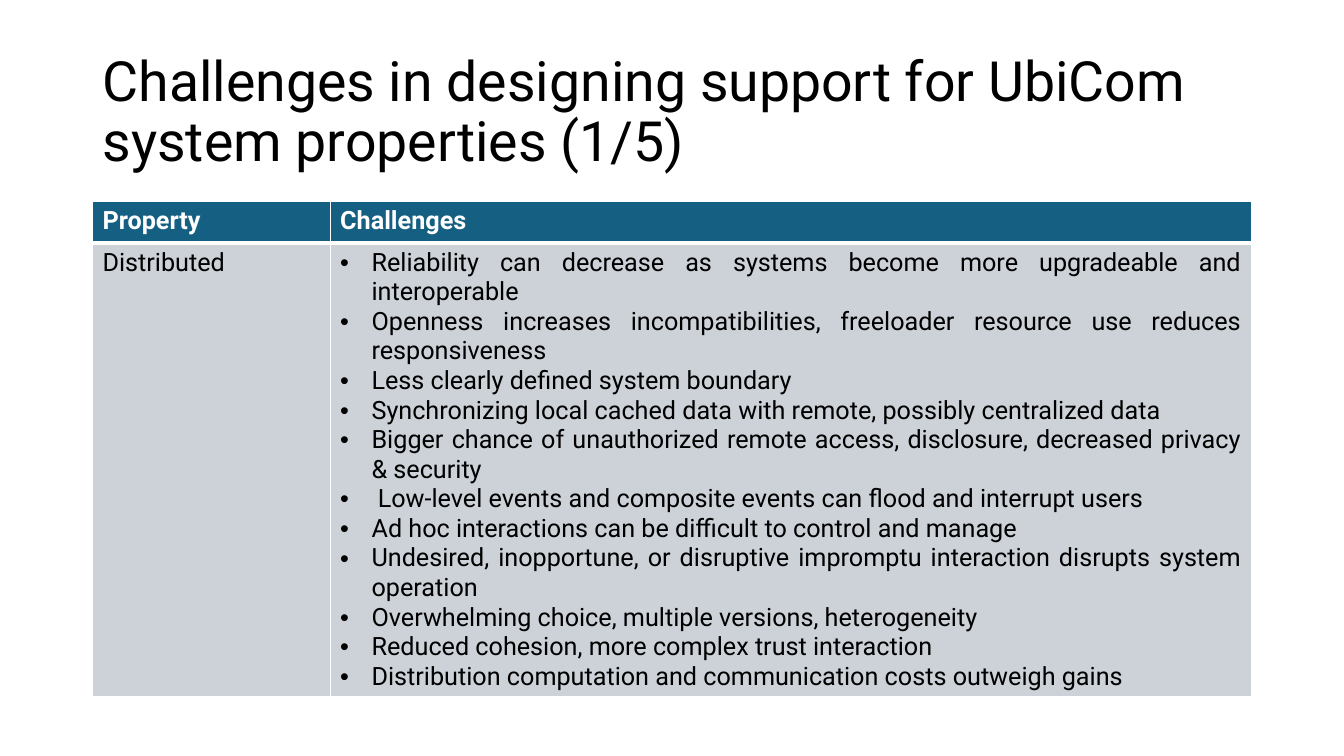
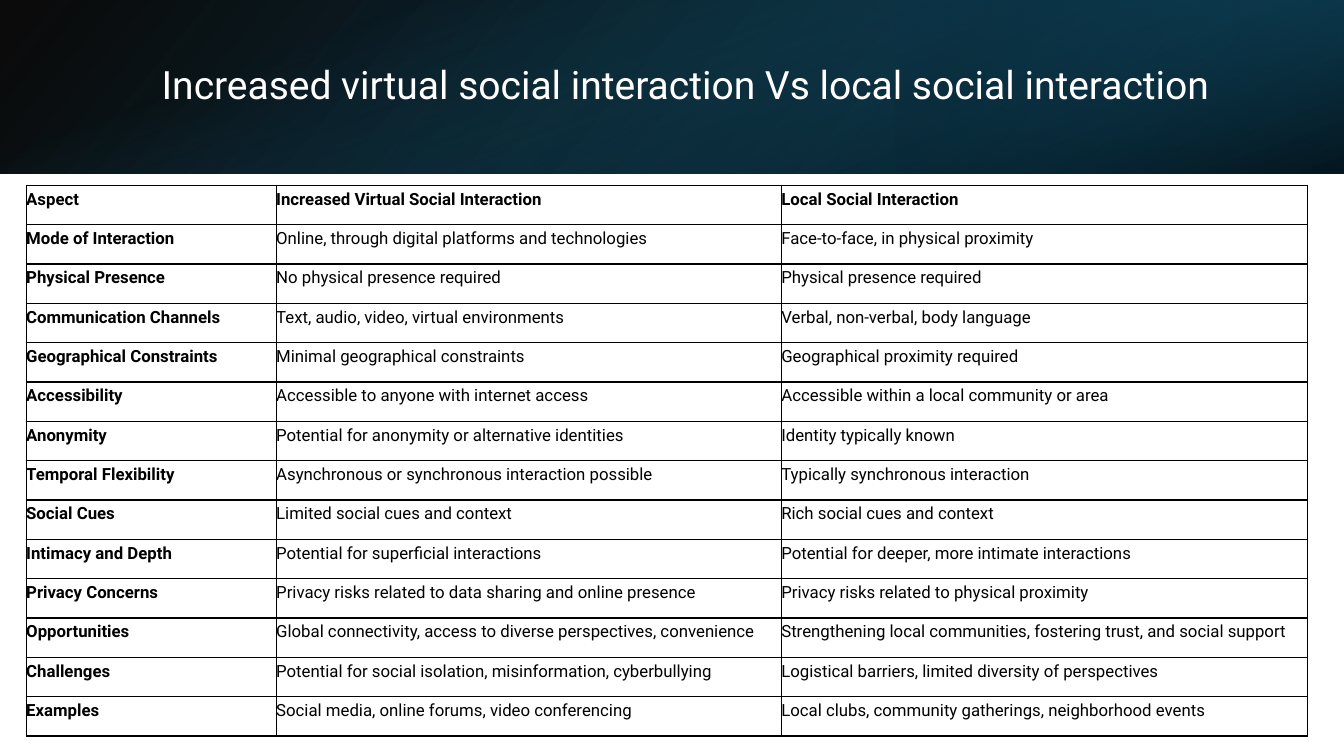
from dataclasses import dataclass

from lxml import etree
from pptx import Presentation
from pptx import util as u
from pptx.dml.color import RGBColor
from pptx.enum import shapes, text
from pptx.oxml.ns import qn


@dataclass(frozen=True)
class Theme:
    font: str = "Roboto"
    black: str = "000000"
    white: str = "FFFFFF"
    teal: str = "156082"
    deep_teal: str = "104862"
    dark_teal: str = "0B3041"
    grey: str = "CCD2D8"
    title_size: float = 39.6
    banner_title_size: float = 27.9
    body_size: float = 18
    small_size: float = 12


@dataclass(frozen=True)
class Box:
    """A region of the slide, in centimetres."""
    left: float
    top: float
    width: float
    height: float

    def lengths(self):
        return [u.Cm(n) for n in (self.left, self.top, self.width, self.height)]

    def inner(self, left, top, width, height):
        return Box(self.left + left, self.top + top, width, height)


THEME = Theme()
PAGE = Box(0, 0, 33.87, 19.05)
TITLE_ONLY = 5

CHALLENGES = [
    "Reliability can decrease as systems become more upgradeable and interoperable",
    "Openness increases incompatibilities, freeloader resource use reduces responsiveness",
    "Less clearly defined system boundary",
    "Synchronizing local cached data with remote, possibly centralized data",
    "Bigger chance of unauthorized remote access, disclosure, decreased privacy & security",
    " Low-level events and composite events can flood and interrupt users",
    "Ad hoc interactions can be difficult to control and manage",
    "Undesired, inopportune, or disruptive impromptu interaction disrupts system operation",
    "Overwhelming choice, multiple versions, heterogeneity",
    "Reduced cohesion, more complex trust interaction",
    "Distribution computation and communication costs outweigh gains",
]

COMPARISON = [
    ("Aspect", "Increased Virtual Social Interaction", "Local Social Interaction"),
    ("Mode of Interaction", "Online, through digital platforms and technologies",
     "Face-to-face, in physical proximity"),
    ("Physical Presence", "No physical presence required", "Physical presence required"),
    ("Communication Channels", "Text, audio, video, virtual environments",
     "Verbal, non-verbal, body language"),
    ("Geographical Constraints", "Minimal geographical constraints",
     "Geographical proximity required"),
    ("Accessibility", "Accessible to anyone with internet access",
     "Accessible within a local community or area"),
    ("Anonymity", "Potential for anonymity or alternative identities",
     "Identity typically known"),
    ("Temporal Flexibility", "Asynchronous or synchronous interaction possible",
     "Typically synchronous interaction"),
    ("Social Cues", "Limited social cues and context", "Rich social cues and context"),
    ("Intimacy and Depth", "Potential for superficial interactions",
     "Potential for deeper, more intimate interactions"),
    ("Privacy Concerns", "Privacy risks related to data sharing and online presence",
     "Privacy risks related to physical proximity"),
    ("Opportunities", "Global connectivity, access to diverse perspectives, convenience",
     "Strengthening local communities, fostering trust, and social support"),
    ("Challenges", "Potential for social isolation, misinformation, cyberbullying",
     "Logistical barriers, limited diversity of perspectives"),
    ("Examples", "Social media, online forums, video conferencing",
     "Local clubs, community gatherings, neighborhood events"),
]


# Text
def style(paragraph, size, color, bold=False):
    font = paragraph.font
    font.name, font.size, font.bold = THEME.font, u.Pt(size), bold
    font.color.rgb = RGBColor.from_string(color)


def add_bullet(paragraph, indent):
    properties = paragraph._p.get_or_add_pPr()
    properties.set("marL", str(u.Cm(indent)))
    properties.set("indent", str(-u.Cm(indent)))
    etree.SubElement(properties, qn("a:buFont"), typeface="Arial")
    etree.SubElement(properties, qn("a:buChar"), char="•")


def set_title(slide, box, wording, size, color):
    title = slide.shapes.title
    title.left, title.top, title.width, title.height = box.lengths()
    frame = title.text_frame
    frame.text = wording
    frame.word_wrap = True
    frame.auto_size = text.MSO_AUTO_SIZE.NONE
    frame.vertical_anchor = text.MSO_ANCHOR.MIDDLE
    paragraph = frame.paragraphs[0]
    paragraph.alignment = text.PP_ALIGN.LEFT
    paragraph.line_spacing = 0.9
    style(paragraph, size, color)


# Tables
def add_grid(slide, box, column_widths, row_heights):
    table = slide.shapes.add_table(
        len(row_heights), len(column_widths), *box.lengths()).table
    table.first_row = table.horz_banding = False
    for column, width in zip(table.columns, column_widths):
        column.width = u.Cm(width)
    for row, height in zip(table.rows, row_heights):
        row.height = u.Cm(height)
    return table


def set_borders(cell, color, top=1, bottom=1):
    properties = cell._tc.get_or_add_tcPr()
    widths = {"lnL": 1, "lnR": 1, "lnT": top, "lnB": bottom}
    for position, (side, width) in enumerate(widths.items()):
        line = etree.Element(qn(f"a:{side}"), w=str(u.Pt(width)))
        fill = etree.SubElement(line, qn("a:solidFill"))
        etree.SubElement(fill, qn("a:srgbClr"), val=color)
        properties.insert(position, line)


def add_challenges_table(slide, box):
    header_height = 1.04
    property_width = 5.99
    table = add_grid(slide, box, [property_width, box.width - property_width],
                     [header_height, box.height - header_height])
    rows = [["Property", "Challenges"], ["Distributed", "\n".join(CHALLENGES)]]
    for row_index, row in enumerate(rows):
        is_header = row_index == 0
        for column_index, wording in enumerate(row):
            cell = table.cell(row_index, column_index)
            cell.text = wording
            cell.fill.solid()
            cell.fill.fore_color.rgb = RGBColor.from_string(
                THEME.teal if is_header else THEME.grey)
            set_borders(cell, THEME.white, top=1 if is_header else 3,
                        bottom=3 if is_header else 1)
            for paragraph in cell.text_frame.paragraphs:
                if not is_header and column_index == 1:
                    add_bullet(paragraph, 0.79)
                    paragraph.alignment = text.PP_ALIGN.JUSTIFY
                style(paragraph, THEME.body_size,
                      THEME.white if is_header else THEME.black, is_header)


def add_comparison_table(slide, box):
    row_height = box.height / len(COMPARISON)
    table = add_grid(slide, box, [6.3, 12.73, 13.26], [row_height] * len(COMPARISON))
    for row_index, row in enumerate(COMPARISON):
        for column_index, wording in enumerate(row):
            cell = table.cell(row_index, column_index)
            cell.text = wording
            cell.fill.background()
            set_borders(cell, THEME.black)
            cell.vertical_anchor = text.MSO_ANCHOR.MIDDLE
            cell.margin_left, cell.margin_top = 0, u.Cm(0.05)
            cell.margin_right, cell.margin_bottom = u.Cm(0.1), u.Cm(0.33)
            style(cell.text_frame.paragraphs[0], THEME.small_size, THEME.black,
                  bold=row_index == 0 or column_index == 0)


# Banner
def add_gradient(slide, box, stops, angle, rotation=0, flip=False):
    """Stops are (position, colour, opacity in percent); angle runs clockwise."""
    shape = slide.shapes.add_shape(shapes.MSO_SHAPE.RECTANGLE, *box.lengths())
    shape.shadow.inherit = False
    shape.line.fill.background()
    shape.rotation = rotation
    if flip:
        shape._element.spPr.find(qn("a:xfrm")).set("flipH", "1")
    shape.fill.gradient()
    shape.fill.gradient_angle = 360 - angle
    for stop, (position, color, _) in zip(shape.fill.gradient_stops, stops):
        stop.position = position / 100
        stop.color.rgb = RGBColor.from_string(color)
    colors = shape._element.spPr.iter(qn("a:srgbClr"))
    for color, (_, _, opacity) in zip(colors, stops):
        etree.SubElement(color, qn("a:alpha"), val=str(opacity * 1000))


def add_banner(slide, box):
    add_gradient(slide, box, [(0, THEME.black, 96), (100, THEME.deep_teal, 100)],
                 140, flip=True)
    third = box.width / 3
    add_gradient(slide, box.inner(box.width - third, 0, third, box.height),
                 [(19, THEME.dark_teal, 68), (100, THEME.teal, 79)],
                 320, rotation=180, flip=True)
    # Upright bar, turned to cover the whole banner
    offset = (box.width - box.height) / 2
    add_gradient(slide, box.inner(offset, -offset, box.height, box.width),
                 [(23, THEME.teal, 0), (99, THEME.black, 74)], 340, rotation=90)


# Slides
def build_challenges_slide(slide, page):
    set_title(slide, page.inner(2.33, 1.01, 29.21, 3.68),
              "Challenges in designing support for UbiCom system properties (1/5)",
              THEME.title_size, THEME.black)
    add_challenges_table(slide, page.inner(2.33, 5.08, 29.21, 12.44))


def build_comparison_slide(slide, page):
    add_banner(slide, page.inner(0, 0, page.width, 4.38))
    # Bring the title in front of the banner
    slide.shapes._spTree.append(slide.shapes.title._element)
    set_title(slide, page.inner(3.82, 0.96, 27.89, 2.44),
              "Increased virtual social interaction Vs local social interaction",
              THEME.banner_title_size, THEME.white)
    add_comparison_table(slide, page.inner(0.66, 4.67, 32.29, 13.88))


def main():
    presentation = Presentation()
    presentation.slide_width = u.Cm(PAGE.width)
    presentation.slide_height = u.Cm(PAGE.height)
    layout = presentation.slide_layouts[TITLE_ONLY]
    for build in (build_challenges_slide, build_comparison_slide):
        build(presentation.slides.add_slide(layout), PAGE)
    presentation.save("out.pptx")


if __name__ == "__main__":
    main()
